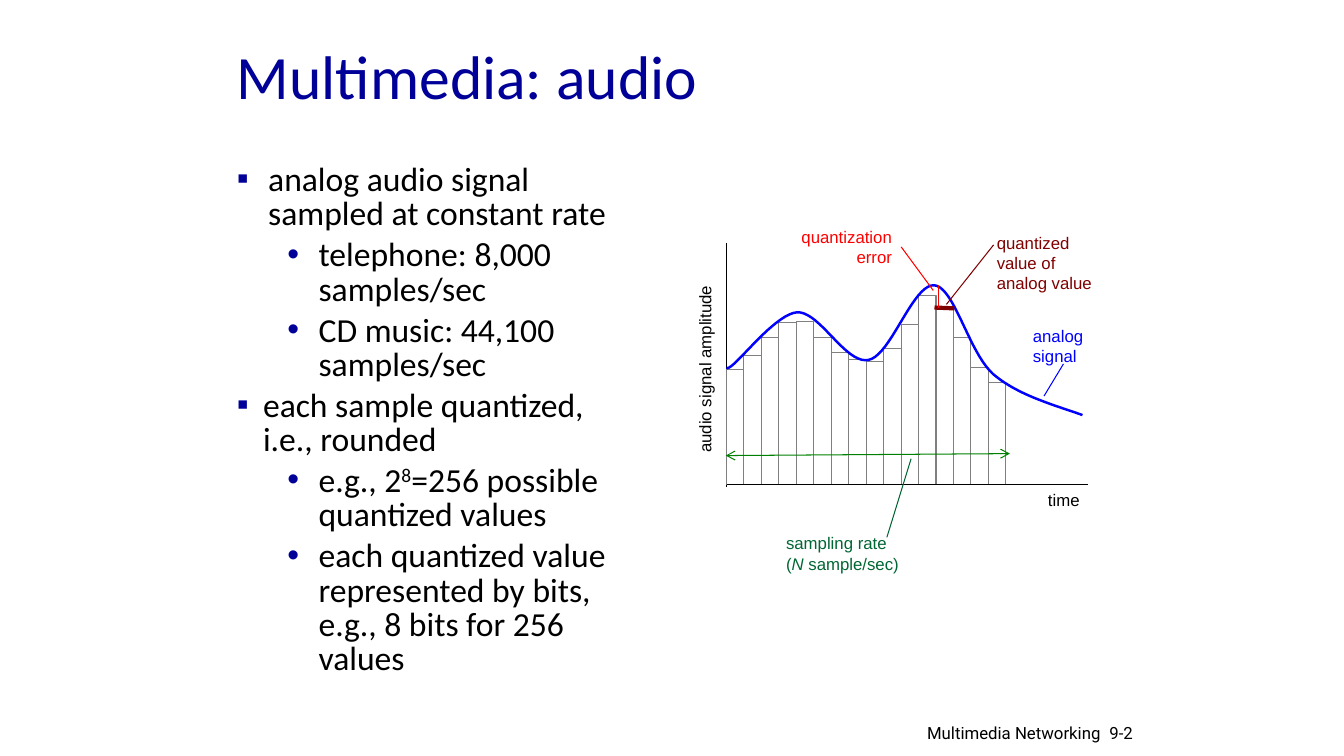
from lxml import etree
from pptx import Presentation
from pptx.dml.color import RGBColor
from pptx.enum.shapes import MSO_CONNECTOR, MSO_SHAPE
from pptx.enum.text import MSO_ANCHOR, PP_ALIGN
from pptx.oxml.ns import qn
from pptx.util import Cm, Pt

COLORS = {
    "navy": "000099", "black": "000000", "gray": "808080", "blue": "0000FF",
    "maroon": "800000", "red": "FF0000", "green": "008000", "forest": "006633",
}
RGB = {name: RGBColor.from_string(code) for name, code in COLORS.items()}

prs = Presentation()
prs.slide_width, prs.slide_height = Cm(33.87), Cm(19.05)
slide = prs.slides.add_slide(prs.slide_layouts[6])
shapes = slide.shapes


def add_text(box, lines, color, size=12, font="Arial", align=PP_ALIGN.LEFT, wrap=True):
    """Each line is a list of (text, run settings) pairs; returns the text box."""
    textbox = shapes.add_textbox(*(Cm(v) for v in box))
    frame = textbox.text_frame
    frame.word_wrap = wrap
    for i, runs in enumerate(lines):
        paragraph = frame.paragraphs[0] if i == 0 else frame.add_paragraph()
        paragraph.alignment = align
        for text, settings in runs:
            run = paragraph.add_run()
            run.text = text
            run.font.size, run.font.name = Pt(size), font
            run.font.color.rgb = RGB[color]
            for key, value in settings.items():
                run.font._element.set(key, value)
    return textbox


def add_line(start, end, color, width=0.75, arrows=False):
    line = shapes.add_connector(MSO_CONNECTOR.STRAIGHT, *(Cm(v) for v in start + end))
    line.line.color.rgb = RGB[color]
    line.line.width = Pt(width)
    if arrows:
        for tag in ("a:headEnd", "a:tailEnd"):
            etree.SubElement(line.line._get_or_add_ln(), qn(tag), type="arrow")
    etree.SubElement(line._element.spPr, qn("a:effectLst"))


# Title and bullets
title = add_text((5.72, 0.3, 13.82, 3.18), [[("Multimedia: audio", {})]],
                 "navy", 44, "Calibri")
title.text_frame.vertical_anchor = MSO_ANCHOR.MIDDLE

# (level, indent in cm, runs)
points = [
    (0, 0.79, [("analog audio signal sampled at constant rate", {})]),
    (1, 2.06, [("telephone: 8,000 samples/sec", {})]),
    (1, 2.06, [("CD music: 44,100 samples/sec", {})]),
    (0, 0.66, [("each sample quantized, i.e., rounded", {})]),
    (1, 2.06, [("e.g., 2", {}), ("8", {"baseline": "30000"}),
               ("=256 possible quantized values", {})]),
    (1, 2.06, [("each quantized value represented by bits, "
                "e.g., 8 bits for 256 values", {})]),
]
body = add_text((5.72, 4.01, 10.59, 12.9), [runs for _, _, runs in points],
                "black", 24, "Calibri")
for i, (paragraph, (level, indent, _)) in enumerate(zip(body.text_frame.paragraphs, points)):
    props = paragraph._p.get_or_add_pPr()
    props.set("marL", str(Cm(indent)))
    props.set("indent", str(-Cm(min(indent, 0.79))))
    bullet_color = etree.SubElement(props, qn("a:buClr"))
    etree.SubElement(bullet_color, qn("a:srgbClr"), val=COLORS["navy"])
    etree.SubElement(props, qn("a:buFont"), typeface="Arial")
    etree.SubElement(props, qn("a:buChar"), char="▪•"[level])
    paragraph.level = level
    paragraph.line_spacing = 0.85
    paragraph.space_before = Pt(4.8 if i else 0)

# Axes and samples
AXIS_X, AXIS_Y, SAMPLE_WIDTH = 18.31, 12.22, 0.44
sample_tops = [9.3, 8.97, 8.51, 8.13, 8.1, 8.51, 8.89, 9.07,
               9.12, 8.79, 8.18, 7.44, 7.77, 8.51, 9.25, 9.63]
add_line((AXIS_X, 6.12), (AXIS_X, 12.27), "black")
for i, top in enumerate(sample_tops):
    sample = shapes.add_shape(MSO_SHAPE.RECTANGLE, Cm(AXIS_X + i * SAMPLE_WIDTH), Cm(top),
                              Cm(SAMPLE_WIDTH), Cm(AXIS_Y - top))
    sample.shadow.inherit = False
    sample.fill.background()
    sample.line.color.rgb = RGB["gray"]
    sample.line.width = Pt(0.75)
add_line((AXIS_X, AXIS_Y), (27.43, AXIS_Y), "black")
add_text((26.16, 12.22, 1.32, 0.76), [[("time", {})]], "black", wrap=False)
amplitude = add_text((15.37, 8.89, 4.78, 0.76), [[("audio signal amplitude", {})]],
                     "black", wrap=False)
amplitude.rotation = 270

# Analog signal: a chain of cubic curves, each starting where the last one ends
signal_start = (18.31, 9.27)
signal_curves = [
    ((18.44, 9.4), (19.48, 7.92), (20.09, 7.87)),
    ((20.67, 7.85), (21.31, 9.19), (21.89, 9.07)),
    ((22.45, 8.97), (23.01, 7.14), (23.55, 7.19)),
    ((24.05, 7.24), (24.41, 8.86), (25.02, 9.42)),
    ((25.65, 9.96), (26.52, 10.19), (27.28, 10.46)),
]
STEPS = 20
signal_points = []
anchor = signal_start
for control_1, control_2, end in signal_curves:
    for step in range(1, STEPS + 1):
        t = step / STEPS
        signal_points.append(tuple(
            Cm((1 - t) ** 3 * a + 3 * t * (1 - t) ** 2 * b + 3 * t ** 2 * (1 - t) * c + t ** 3 * d)
            for a, b, c, d in zip(anchor, control_1, control_2, end)))
    anchor = end
builder = shapes.build_freeform(*(Cm(v) for v in signal_start))
builder.add_line_segments(signal_points, close=False)
signal = builder.convert_to_shape()
signal.shadow.inherit = False
signal.fill.background()
signal.line.color.rgb = RGB["blue"]
signal.line.width = Pt(1.75)

# Callouts
add_text((25.78, 8.08, 1.8, 1.3), [[("analog", {})], [("signal", {})]], "blue", wrap=False)
add_line((26.8, 9.17), (26.31, 9.98), "blue")

add_line((23.55, 7.75), (24.05, 7.77), "maroon", 3)
add_text((24.87, 5.74, 3.25, 1.8),
         [[("quantized value of", {})], [("analog value", {})]], "maroon")
add_line((25.04, 6.17), (23.85, 7.67), "maroon")

add_text((19.66, 5.59, 3.07, 1.3), [[("quantization error", {})]], "red",
         align=PP_ALIGN.RIGHT)
add_line((23.65, 7.19), (23.65, 7.77), "red", 1)
add_line((22.71, 6.22), (23.52, 7.32), "red")

add_line((18.29, 11.48), (25.45, 11.43), "green", arrows=True)
add_text((19.56, 13.31, 4.75, 1.27),
         [[("sampling rate", {})], [("(", {}), ("N ", {"i": "1"}), ("sample/sec)", {})]],
         "forest")
add_line((22.35, 13.54), (22.96, 11.56), "forest")

# Footer
add_text((27.71, 18.08, 1.91, 0.76), [[("9-2", {})]], "black", font="Roboto")
add_text((22.5, 18.08, 5.49, 0.71), [[("Multimedia Networking", {})]], "black",
         font="Roboto", align=PP_ALIGN.RIGHT)

prs.save("out.pptx")
